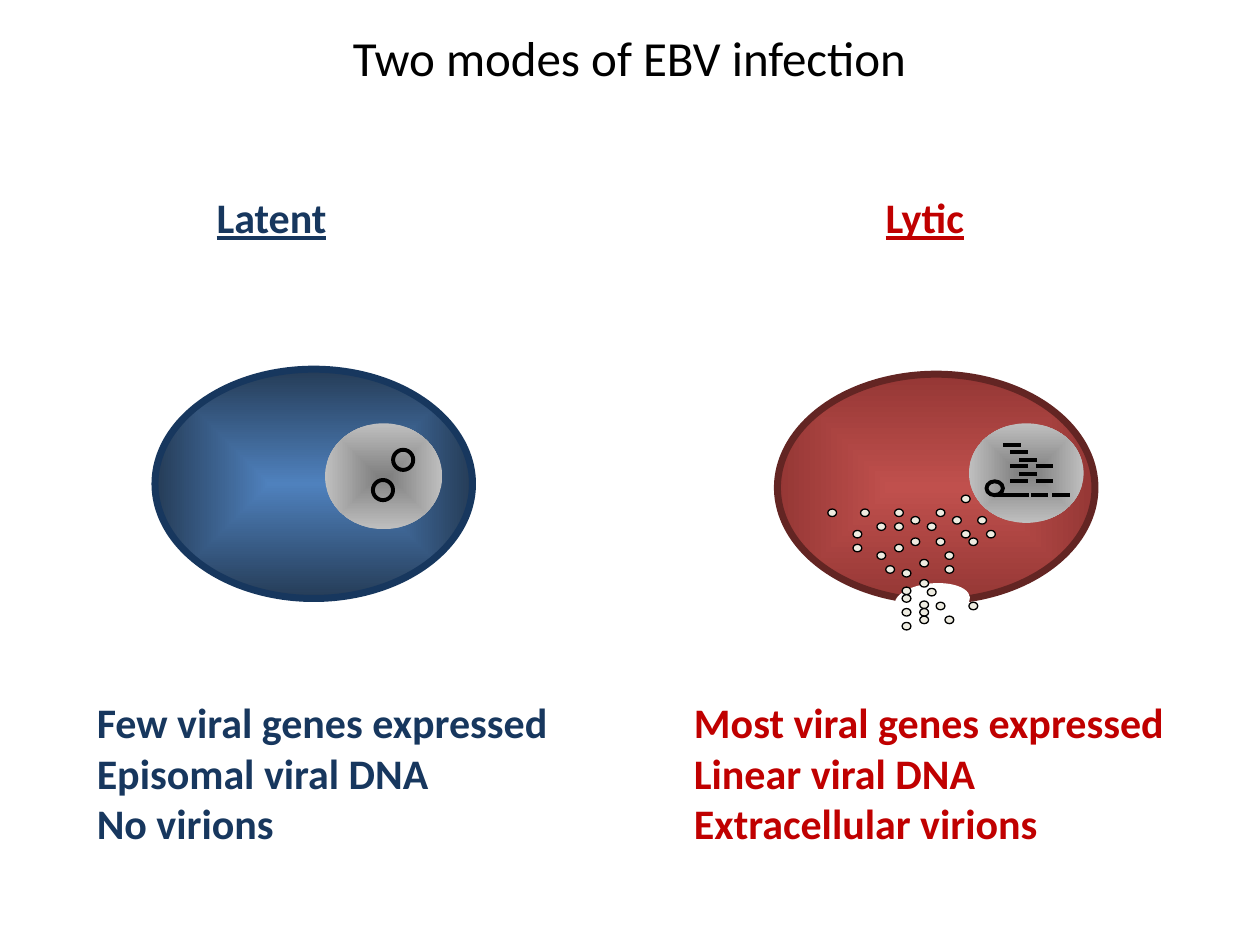
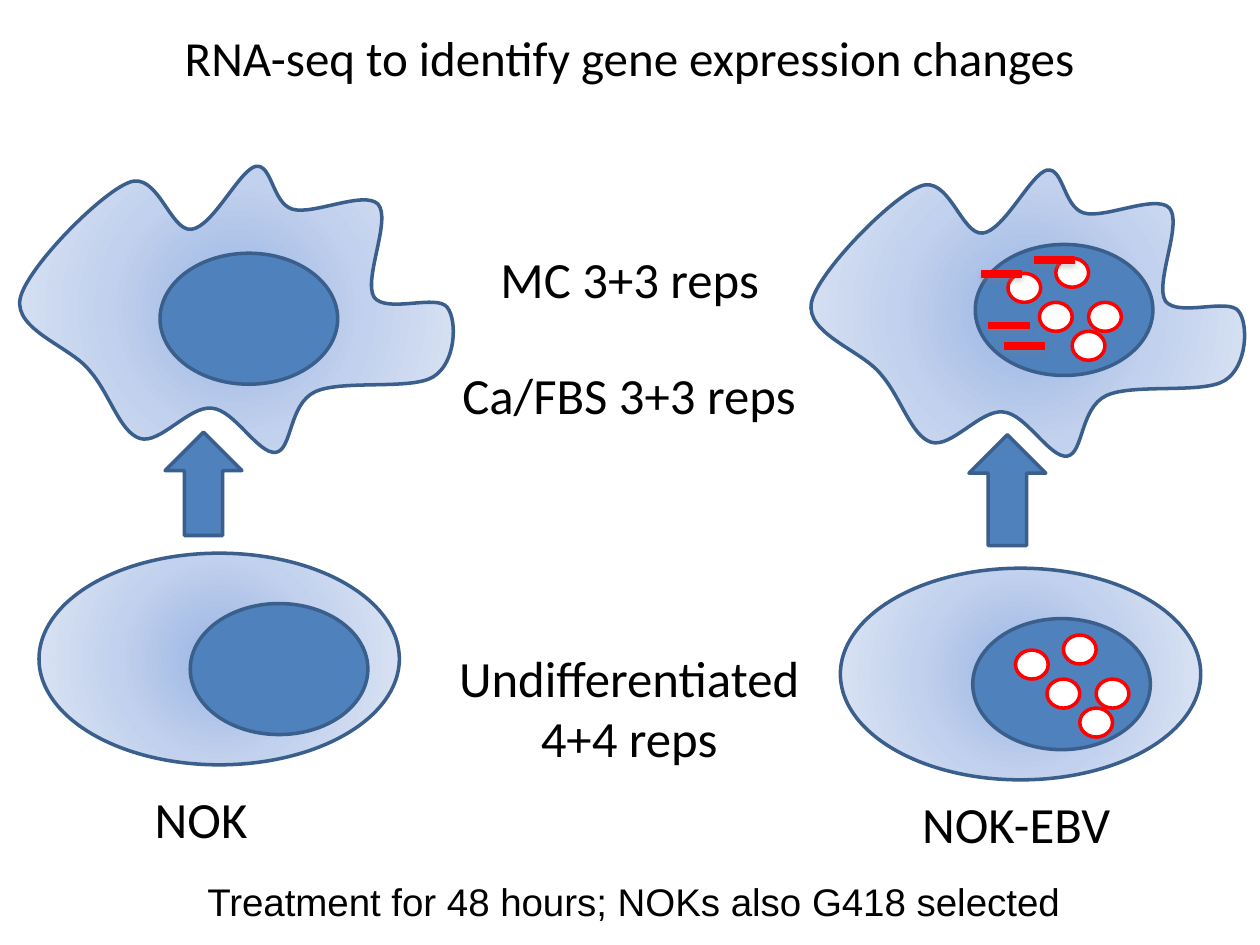
from lxml import etree
from pptx import Presentation
from pptx.dml.color import RGBColor
from pptx.enum.shapes import MSO_CONNECTOR, MSO_SHAPE
from pptx.enum.text import PP_ALIGN
from pptx.oxml import parse_xml
from pptx.oxml.ns import nsdecls, qn
from pptx.util import Inches, Pt

OVAL, RECT, ARROW = MSO_SHAPE.OVAL, MSO_SHAPE.RECTANGLE, MSO_SHAPE.DOWN_ARROW
STRAIGHT = MSO_CONNECTOR.STRAIGHT
LEFT, CENTER = PP_ALIGN.LEFT, PP_ALIGN.CENTER

BLACK = RGBColor(0x00, 0x00, 0x00)
WHITE = RGBColor(0xFF, 0xFF, 0xFF)
CREAM = RGBColor(0xEE, 0xEC, 0xE1)
RED = RGBColor(0xFF, 0x00, 0x00)
CRIMSON = RGBColor(0xC0, 0x00, 0x00)
MAROON = RGBColor(0x63, 0x25, 0x23)
BRICK = RGBColor(0xC0, 0x50, 0x4D)
RUST = RGBColor(0x95, 0x37, 0x35)
NAVY = RGBColor(0x17, 0x37, 0x5E)
INK = RGBColor(0x25, 0x3C, 0x57)
BLUE = RGBColor(0x4F, 0x81, 0xBD)
EDGE = RGBColor(0x3A, 0x5F, 0x8C)
GRAY = RGBColor(0x80, 0x80, 0x80)
SILVER = RGBColor(0xBF, 0xBF, 0xBF)
SKY = RGBColor(0x9A, 0xB5, 0xE4)
PALE = RGBColor(0xC2, 0xD1, 0xED)
MIST = RGBColor(0xE1, 0xE8, 0xF5)

# Gradients run from the centre outwards: path kind, then colours
LATENT = ("shape", BLUE, INK)
LYTIC = ("shape", BRICK, RUST)
NUCLEUS = ("shape", GRAY, SILVER)
PLASMA = ("circle", SKY, PALE, MIST)

# Slide 1: infection modes
MODES = [
    ("Latent", (1.61, 1.47, 1.09, 0.5), NAVY, (0.67, 5.48, 4.43, 1.31), True,
     ["Few viral genes expressed", "Episomal viral DNA", "No virions"]),
    ("Lytic", (6.92, 1.47, 0.84, 0.5), CRIMSON, (5.41, 5.48, 3.97, 1.31), False,
     ["Most viral genes expressed", "Linear viral DNA",
      "Extracellular virions"]),
]
PLASMIDS = [(3.12, 3.57), (2.96, 3.81)]
DNA_LEN = 0.14
DNA = [
    (7.96, 3.53), (8.02, 3.59), (8.09, 3.65), (8.02, 3.7), (8.22, 3.7),
    (8.09, 3.76), (8.02, 3.82), (8.22, 3.82), (7.89, 3.93), (8.03, 3.93),
    (8.18, 3.93), (8.35, 3.93),
]
# Virions by column: left edge, then the tops
VIRIONS = {
    6.57: [4.04], 6.77: [4.21, 4.32], 6.83: [4.04], 6.96: [4.15, 4.38],
    7.03: [4.49], 7.1: [4.04, 4.15, 4.32],
    7.16: [4.52, 4.66, 4.72, 4.83, 4.94], 7.23: [4.1, 4.27],
    7.3: [4.44, 4.6, 4.77, 4.83, 4.89], 7.36: [4.15, 4.67],
    7.43: [4.04, 4.27, 4.78], 7.5: [4.38, 4.49, 4.89], 7.56: [4.1],
    7.63: [3.93, 4.21], 7.69: [4.27, 4.78], 7.76: [4.1], 7.83: [4.21],
}

# Slide 2: cell outline as a start and cubic curves (two handles, end)
START = (0.16, 2.37)
CURVES = [
    (0.21, 2.13), (0.79, 1.54), (1.02, 1.45),
    (1.25, 1.35), (1.35, 1.84), (1.52, 1.82),
    (1.69, 1.8), (1.9, 1.35), (2.03, 1.32),
    (2.16, 1.3), (2.16, 1.61), (2.32, 1.66),
    (2.48, 1.71), (2.89, 1.51), (3, 1.62),
    (3.11, 1.74), (2.88, 2.22), (2.97, 2.36),
    (3.07, 2.49), (3.47, 2.33), (3.55, 2.44),
    (3.63, 2.54), (3.62, 2.88), (3.44, 2.99),
    (3.27, 3.1), (2.71, 3.01), (2.5, 3.11),
    (2.29, 3.21), (2.32, 3.57), (2.19, 3.59),
    (2.05, 3.61), (1.86, 3.25), (1.68, 3.24),
    (1.5, 3.22), (1.27, 3.53), (1.11, 3.48),
    (0.95, 3.43), (0.87, 3.12), (0.71, 2.94),
    (0.56, 2.75), (0.11, 2.62), START,
]
# Per line: shift of the upper cell, lower cell, nuclei, episomes, arrow
LINES = [
    {"shift": (0, 0), "cell": (0.31, 4.39), "nuclei": [(1.27, 2.01), (1.51, 4.79)],
     "rings": [], "arrow": (1.31, 3.43, 0.61, 0.82)},
    {"shift": (6.28, 0.03), "cell": (6.67, 4.51),
     "nuclei": [(7.74, 1.94), (7.72, 4.91)],
     "rings": [(8, 2.05), (8.06, 5.04)], "arrow": (7.69, 3.45, 0.61, 0.88)},
]
RINGS = [(0, 0.12), (0.25, 0.35), (0.51, 0.58), (0.64, 0.35), (0.38, 0)]
BARS = [(7.79, 2.15), (8.21, 2.04), (7.85, 2.56), (7.97, 2.72)]
LABELS = [
    ("NOK", (1.13, 6.2, 0.94, 0.59), LEFT),
    ("NOK-EBV", (7.22, 6.24, 1.71, 0.59), LEFT),
    ("Undifferentiated 4+4 reps", (3.53, 5.08, 2.93, 1.08), CENTER),
    ("Ca/FBS 3+3 reps", (3.53, 2.84, 2.93, 0.59), CENTER),
    ("MC 3+3 reps", (3.77, 1.92, 2.46, 0.59), CENTER),
]


def paint(shape, fill, line, width):
    """Fill is None, a colour or a gradient tuple; line is None or a colour."""
    shape.shadow.inherit = False
    if fill is None:
        shape.fill.background()
    elif isinstance(fill, RGBColor):
        shape.fill.solid()
        shape.fill.fore_color.rgb = fill
    else:
        kind, *tones = fill
        step = 100000 // (len(tones) - 1)
        stops = "".join(
            f'<a:gs pos="{i * step}"><a:srgbClr val="{tone}"/></a:gs>'
            for i, tone in enumerate(tones))
        shape.fill.gradient()
        props = shape._element.spPr
        props.replace(props.find(qn("a:gradFill")), parse_xml(
            f'<a:gradFill {nsdecls("a")} rotWithShape="1">'
            f'<a:gsLst>{stops}</a:gsLst><a:path path="{kind}"><a:fillToRect '
            'l="50000" t="50000" r="50000" b="50000"/></a:path></a:gradFill>'))
    if line is None:
        shape.line.fill.background()
    else:
        shape.line.color.rgb = line
        shape.line.width = Pt(width)


def draw(shapes, kind, box, fill=None, line=None, width=2, turn=0):
    shape = shapes.add_shape(kind, *map(Inches, box))
    shape.rotation = turn
    paint(shape, fill, line, width)
    return shape


def write(slide, box, lines, size, color=BLACK, align=LEFT, font="Calibri",
          wrap=True, bold=False, under=False):
    frame = slide.shapes.add_textbox(*map(Inches, box)).text_frame
    frame.word_wrap = wrap
    for i, text in enumerate(lines):
        para = frame.add_paragraph() if i else frame.paragraphs[0]
        para.alignment = align
        run = para.add_run()
        run.text = text
        run.font.name = font
        run.font.size = Pt(size)
        run.font.color.rgb = color
        run.font.bold = bold
        run.font.underline = under


def start(deck, title):
    slide = deck.slides.add_slide(deck.slide_layouts[6])
    write(slide, (0.5, 0.17, 8.99, 0.57), [title], 28, align=CENTER)
    return slide


def strand(shapes, x, y):
    line = shapes.add_connector(
        STRAIGHT, Inches(x), Inches(y), Inches(x + DNA_LEN), Inches(y))
    line.line.color.rgb = BLACK
    line.line.width = Pt(2.25)
    etree.SubElement(line._element.spPr, qn("a:effectLst"))


def blob(shapes, dx, dy):
    """Draw the spiky cell, turning each three segments into one curve."""
    first, *rest = [(Inches(x + dx), Inches(y + dy)) for x, y in [START] + CURVES]
    pen = shapes.build_freeform(*first)
    pen.add_line_segments(rest, close=True)
    shape = pen.convert_to_shape()
    path = next(shape._element.iter(qn("a:path")))
    parts = path.findall(qn("a:lnTo"))
    for i in range(0, len(parts), 3):
        curve = etree.Element(qn("a:cubicBezTo"))
        parts[i].addprevious(curve)
        for part in parts[i:i + 3]:
            curve.append(part[0])
            path.remove(part)
    paint(shape, PLASMA, EDGE, 2)


def bar(shapes, x, y):
    shape = draw(shapes, RECT, (x, y, 0.32, 0.05), RED, RED, 0.75)
    shape._element.spPr.find(qn("a:effectLst")).append(parse_xml(
        f'<a:outerShdw {nsdecls("a")} blurRad="{Pt(3.1)}" dist="{Pt(1.8)}" '
        f'dir="5400000" rotWithShape="0"><a:srgbClr val="{GRAY}">'
        '<a:alpha val="35000"/></a:srgbClr></a:outerShdw>'))


def modes(deck):
    slide = start(deck, "Two modes of EBV infection")
    shapes = slide.shapes
    draw(shapes, OVAL, (1.23, 2.93, 2.52, 1.82), LATENT, NAVY, 4)
    draw(shapes, OVAL, (2.58, 3.36, 0.93, 0.84), NUCLEUS)
    for x, y in PLASMIDS:
        draw(shapes, OVAL, (x, y, 0.16, 0.16), None, BLACK, 2.25)

    lytic = shapes.add_group_shape().shapes
    draw(lytic, OVAL, (6.17, 2.97, 2.52, 1.8), LYTIC, MAROON, 4)
    draw(lytic, OVAL, (7.1, 4.63, 0.6, 0.28), WHITE, turn=354.5)
    draw(lytic, OVAL, (7.69, 3.36, 0.91, 0.79), NUCLEUS)
    for x, y in DNA:
        strand(lytic, x, y)
    draw(lytic, OVAL, (7.83, 3.82, 0.13, 0.11), None, BLACK, 2.25)
    for x, tops in VIRIONS.items():
        for y in tops:
            draw(lytic, OVAL, (x, y, 0.07, 0.06), CREAM, BLACK, 0.75)

    for name, head, color, box, wrap, facts in MODES:
        write(slide, head, [name], 24, color, CENTER, wrap=False, bold=True,
              under=True)
        write(slide, box, facts, 24, color, wrap=wrap, bold=True)


def reps(deck):
    slide = start(deck, "RNA-seq to identify gene expression changes")
    shapes = slide.shapes
    for line in LINES:
        blob(shapes, *line["shift"])
        draw(shapes, OVAL, (*line["cell"], 2.86, 1.68), PLASMA, EDGE)
        for spot in line["nuclei"]:
            draw(shapes, OVAL, (*spot, 1.41, 1.04), BLUE, EDGE)
        for x, y in line["rings"]:
            for dx, dy in RINGS:
                draw(shapes, OVAL, (x + dx, y + dy, 0.26, 0.23), WHITE, RED)
        draw(shapes, ARROW, line["arrow"], BLUE, EDGE, turn=180)
    for x, y in BARS:
        bar(shapes, x, y)
    for text, box, align in LABELS:
        write(slide, box, [text], 29, align=align)
    write(slide, (1.5, 6.92, 7.06, 0.47),
          ["Treatment for 48 hours; NOKs also G418 selected"], 22,
          align=CENTER, font="Arial", wrap=False)


def main():
    deck = Presentation()
    deck.slide_width, deck.slide_height = Inches(10), Inches(7.5)
    modes(deck)
    reps(deck)
    deck.save("out.pptx")


if __name__ == "__main__":
    main()
